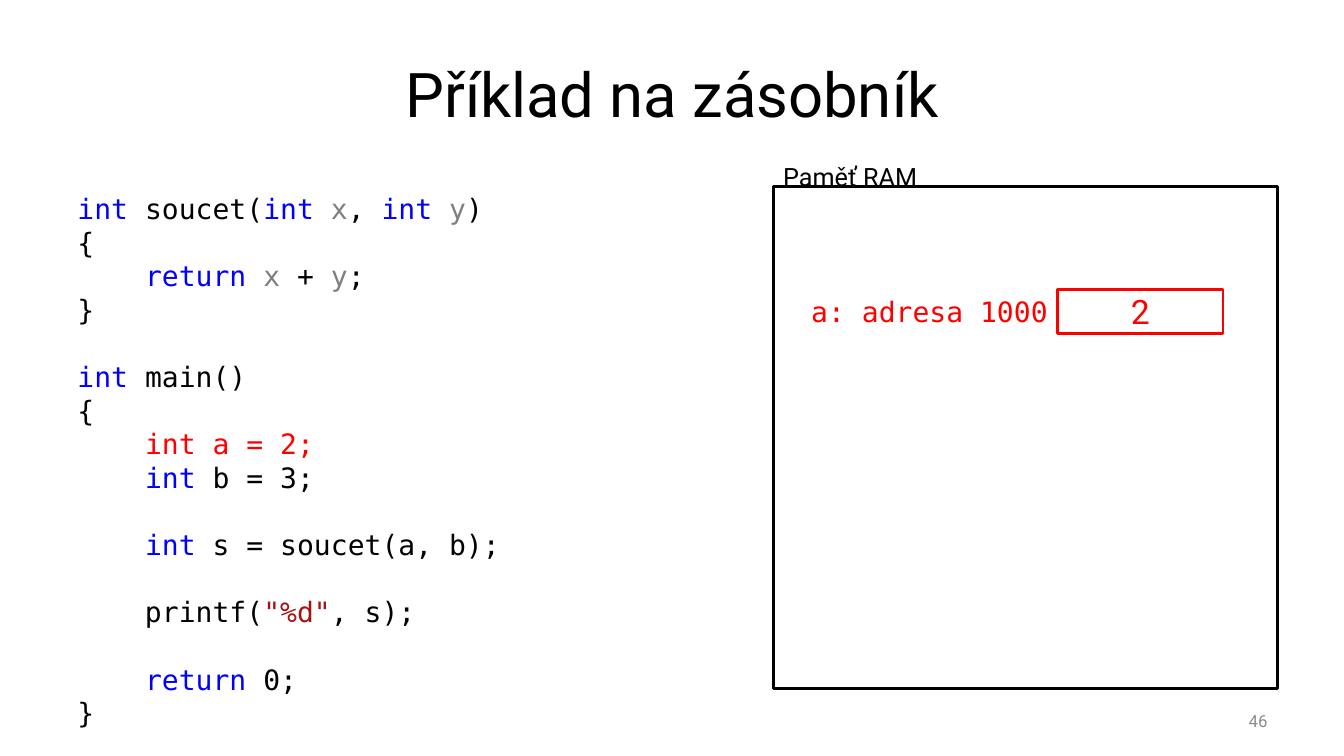
"""Build a slide showing C code beside its stack memory."""
from pptx import Presentation
from pptx.dml.color import RGBColor
from pptx.enum.shapes import MSO_SHAPE as Shape
from pptx.enum.text import MSO_ANCHOR as Anchor, PP_ALIGN as Align
from pptx.util import Inches, Pt

COLORS = {"black": "000000", "white": "FFFFFF", "red": "FF0000", "blue": "0000FF",
          "gray": "808080", "pale": "8C8C8C", "brown": "A31515"}
SANS, MONO = "Roboto", "DejaVu Sans Mono"


def color(name):
    return RGBColor.from_string(COLORS[name])


def write(lines, at, size=20, font=SANS, ink="black", align=Align.LEFT,
          anchor=Anchor.TOP, edge=None):
    """Place lines of (text, colour) runs; an empty line becomes a gap."""
    place = [Inches(n) for n in at]
    if edge:
        box = slide.shapes.add_shape(Shape.RECTANGLE, *place)
        box.shadow.inherit = False
        box.fill.solid()
        box.fill.fore_color.rgb = color("white")
        box.line.color.rgb = color(edge)
        box.line.width = Pt(2)
    else:
        box = slide.shapes.add_textbox(*place)
    frame = box.text_frame
    frame.word_wrap = True
    frame.vertical_anchor = anchor
    if isinstance(lines, str):
        lines = [[(lines, ink)]]
    para, gap = frame.paragraphs[0], 0
    for row, line in enumerate(lines):
        if not line:
            gap = 24
            continue
        if row:
            para = frame.add_paragraph()
        para.alignment = align
        if gap:
            para.space_before = Pt(gap)
            gap = 0
        for text, tint in line:
            run = para.add_run()
            run.text = text
            run.font.name = font
            run.font.size = Pt(size)
            run.font.color.rgb = color(tint)


deck = Presentation()
deck.slide_width, deck.slide_height = Inches(13.33), Inches(7.5)
slide = deck.slides.add_slide(deck.slide_layouts[6])

write("Příklad na zásobník", (0.67, 0.3, 12, 1.25), size=44,
      align=Align.CENTER, anchor=Anchor.MIDDLE)
write("46", (9.56, 6.95, 3.11, 0.4), size=12, ink="pale",
      align=Align.RIGHT, anchor=Anchor.MIDDLE)

write("", (7.67, 1.85, 5, 4.98), edge="black")
write("Paměť RAM", (7.67, 1.55, 1.86, 0.4), size=18)
write("a: adresa 1000", (7.91, 2.87, 2.58, 0.44), font=MONO, ink="red",
      align=Align.RIGHT, anchor=Anchor.MIDDLE)
write("2", (10.49, 2.87, 1.64, 0.44), size=24, ink="red",
      align=Align.CENTER, anchor=Anchor.MIDDLE, edge="red")

start, end, tab = [("{", "black")], [("}", "black")], ("    ", "black")
x, y, kind = ("x", "gray"), ("y", "gray"), ("int ", "blue")
back = ("return ", "blue")
code = [
    [kind, ("soucet(", "black"), kind, x, (", ", "black"), kind, y, (")", "black")],
    start,
    [tab, back, x, (" + ", "black"), y, (";", "black")],
    end,
    [],
    [kind, ("main()", "black")],
    start,
    [tab, ("int a = 2;", "red")],
    [tab, kind, ("b = 3;", "black")],
    [],
    [tab, kind, ("s = soucet(a, b);", "black")],
    [],
    [tab, ("printf(", "black"), ('"%d"', "brown"), (", s);", "black")],
    [],
    [tab, back, ("0;", "black")],
    end,
]
write(code, (0.67, 1.85, 6.67, 5.49), font=MONO)

deck.save("out.pptx")
